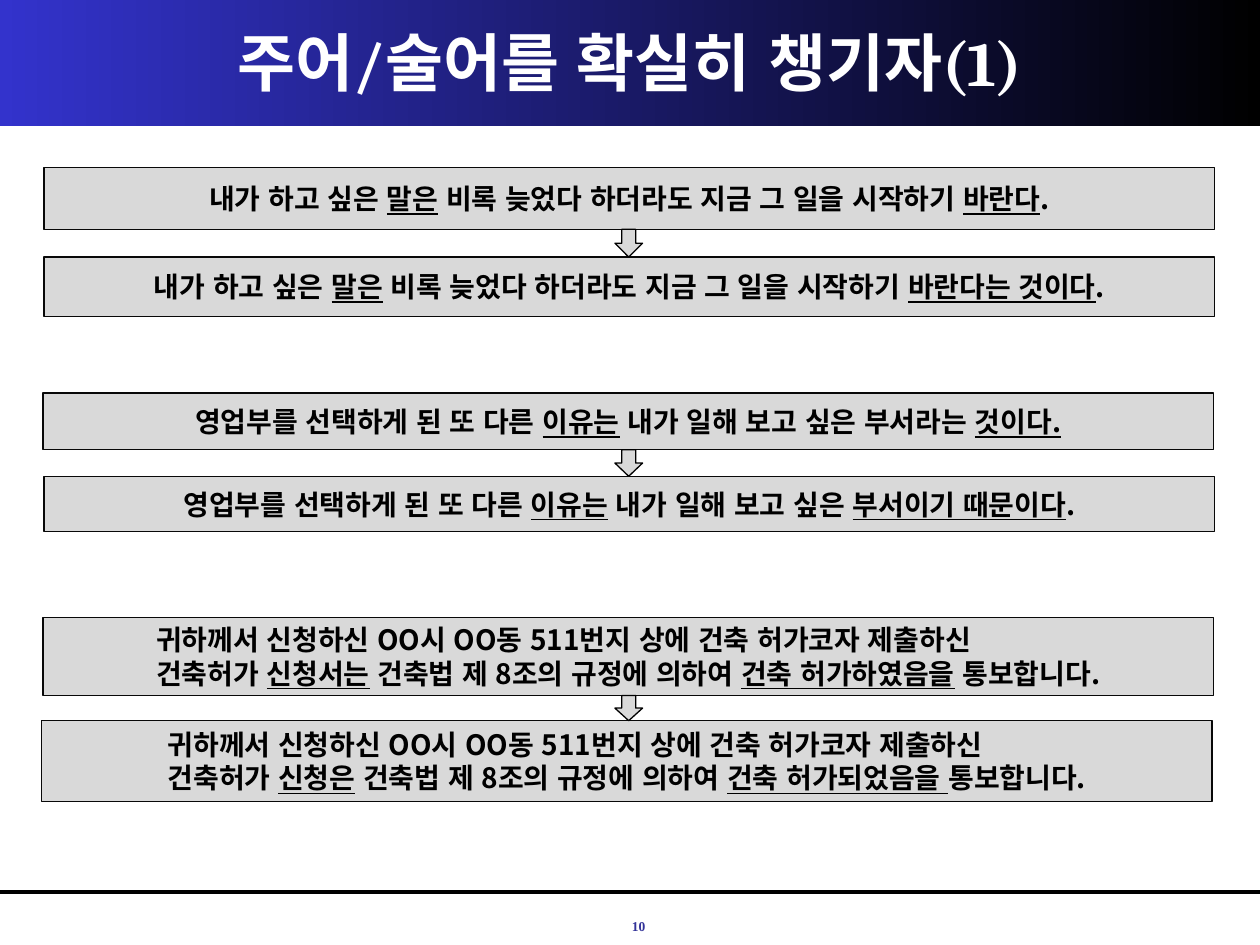
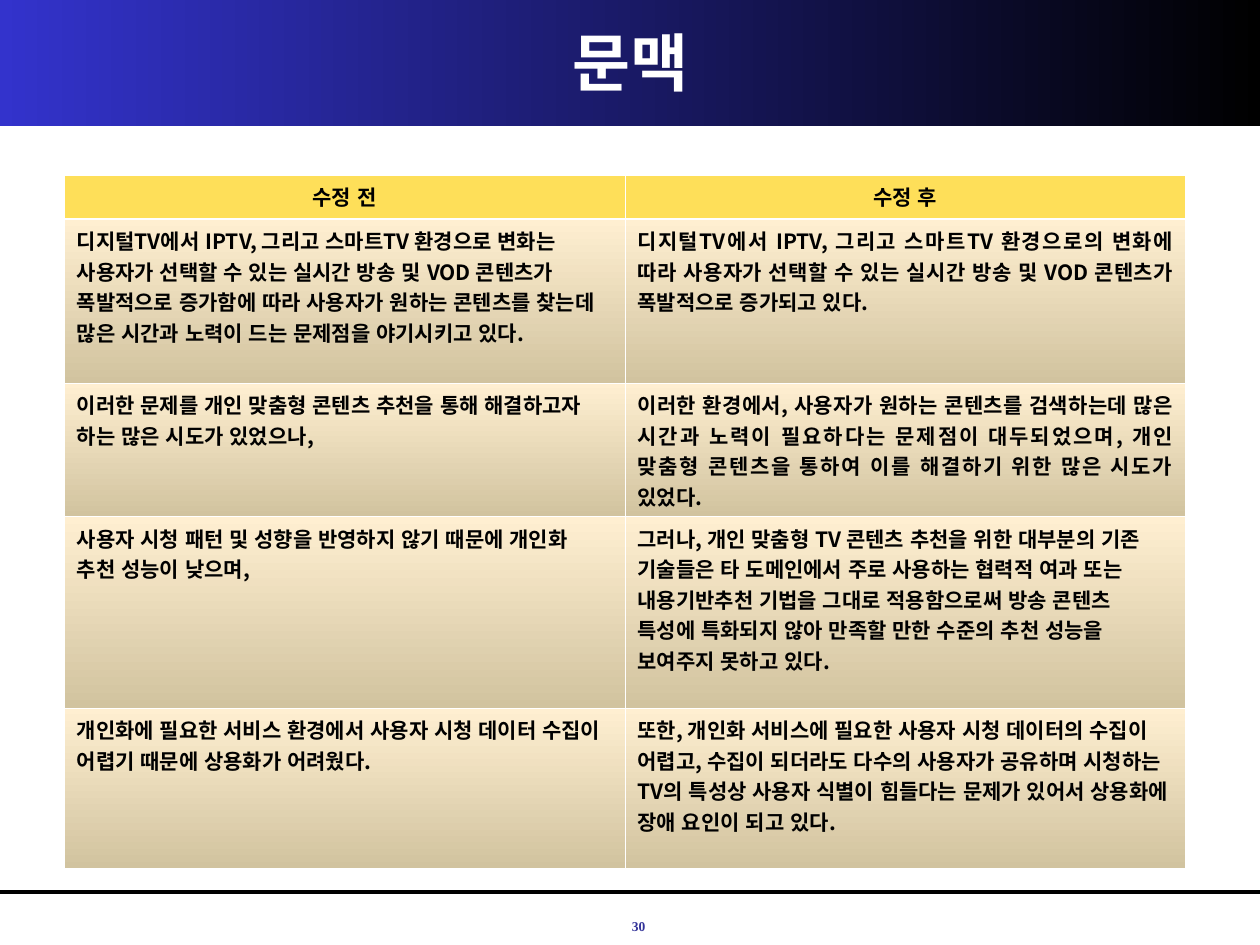
"""Build two Korean writing-guide slides: sentence corrections and a before/after table."""
from lxml.etree import SubElement
from pptx import Presentation
from pptx.dml.color import RGBColor
from pptx.enum.lang import MSO_LANGUAGE_ID
from pptx.enum.shapes import MSO_CONNECTOR, MSO_SHAPE
from pptx.enum.text import MSO_ANCHOR, MSO_AUTO_SIZE, PP_ALIGN
from pptx.oxml import parse_xml
from pptx.oxml.ns import nsdecls, qn
from pptx.util import Inches, Pt

WHITE = RGBColor(0xFF, 0xFF, 0xFF)
BLACK = RGBColor(0, 0, 0)
BAND_BLUE = RGBColor(0x33, 0x33, 0xCC)
PAGE_BLUE = RGBColor(0x33, 0x33, 0x99)
BOX_GRAY = RGBColor(0xD9, 0xD9, 0xD9)
BOX_EDGE = RGBColor(0x08, 0x08, 0x08)
HEADER_YELLOW = RGBColor(0xFE, 0xDF, 0x59)
CREAM = RGBColor(0xFF, 0xEF, 0xD1)
TAN = RGBColor(0xD1, 0xC3, 0x9F)

KOREAN = "Noto Sans CJK KR"
SERIF = "Cambria"
PAGE_FONT = "Times New Roman"

UNDERLINE_MARK = "_"
PERMIT_OPENING = "귀하께서 신청하신 OO시 OO동 511번지 상에 건축 허가코자 제출하신"
CORRECTIONS = [
    [
        (0.35, 1.33, 0.49, ["내가 하고 싶은 _말은_ 비록 늦었다 하더라도 지금 그 일을 시작하기 _바란다_."]),
        (0.35, 2.04, 0.47, ["내가 하고 싶은 _말은_ 비록 늦었다 하더라도 지금 그 일을 시작하기 _바란다는 것이다_."]),
    ],
    [
        (0.34, 3.12, 0.45, ["영업부를 선택하게 된 또 다른 _이유는_ 내가 일해 보고 싶은 부서라는 _것이다._"]),
        (0.35, 3.78, 0.44, ["영업부를 선택하게 된 또 다른 _이유는_ 내가 일해 보고 싶은 _부서이기 때문이다_."]),
    ],
    [
        (0.34, 4.9, 0.62, [PERMIT_OPENING,
                           "건축허가 _신청서는_ 건축법 제 8조의 규정에 의하여 _건축 허가하였음을_ 통보합니다."]),
        (0.33, 5.72, 0.64, [PERMIT_OPENING,
                            "건축허가 _신청은_ 건축법 제 8조의 규정에 의하여 _건축 허가되었음을 _통보합니다."]),
    ],
]
BOX_WIDTH, ARROW_LEFT, ARROW_WIDTH = 9.29, 4.88, 0.22

LEFT, CENTER, JUSTIFY = PP_ALIGN.LEFT, PP_ALIGN.CENTER, PP_ALIGN.JUSTIFY
REVISIONS = [
    (0.35, CENTER, "수정 전", "수정 후"),
    (1.3, JUSTIFY,
     "디지털TV에서 IPTV, 그리고 스마트TV 환경으로 변화는 사용자가 선택할 수 있는 실시간 방송 및 VOD 콘텐츠가 "
     "폭발적으로 증가함에 따라 사용자가 원하는 콘텐츠를 찾는데 많은 시간과 노력이 드는 문제점을 야기시키고 있다.",
     "디지털TV에서 IPTV, 그리고 스마트TV 환경으로의 변화에 따라 사용자가 선택할 수 있는 실시간 방송 및 VOD 콘텐츠가 "
     "폭발적으로 증가되고 있다."),
    (1.06, JUSTIFY,
     "이러한 문제를 개인 맞춤형 콘텐츠 추천을 통해 해결하고자 하는 많은 시도가 있었으나,",
     "이러한 환경에서, 사용자가 원하는 콘텐츠를 검색하는데 많은 시간과 노력이 필요하다는 문제점이 대두되었으며, "
     "개인 맞춤형 콘텐츠을 통하여 이를 해결하기 위한 많은 시도가 있었다."),
    (1.52, LEFT,
     "사용자 시청 패턴 및 성향을 반영하지 않기 때문에 개인화 추천 성능이 낮으며,",
     "그러나, 개인 맞춤형 TV 콘텐츠 추천을 위한 대부분의 기존 기술들은 타 도메인에서 주로 사용하는 협력적 여과 또는 "
     "내용기반추천 기법을 그대로 적용함으로써 방송 콘텐츠 특성에 특화되지 않아 만족할 만한 수준의 추천 성능을 "
     "보여주지 못하고 있다."),
    (1.27, LEFT,
     "개인화에 필요한 서비스 환경에서 사용자 시청 데이터 수집이 어렵기 때문에 상용화가 어려웠다.",
     "또한, 개인화 서비스에 필요한 사용자 시청 데이터의 수집이 어렵고, 수집이 되더라도 다수의 사용자가 공유하며 "
     "시청하는 TV의 특성상 사용자 식별이 힘들다는 문제가 있어서 상용화에 장애 요인이 되고 있다."),
]
COLUMN_WIDTH = 4.45


def style_run(run, size, color=BLACK, latin=KOREAN):
    font = run.font
    font.size, font.bold, font.name = Pt(size), True, latin
    font.color.rgb = color
    font.language_id = MSO_LANGUAGE_ID.KOREAN
    SubElement(font._element, qn("a:ea")).set("typeface", KOREAN)


def fill_gradient(fill, start, end, angle):
    fill.gradient()
    fill.gradient_angle = angle
    for stop, color, position in zip(fill.gradient_stops, (start, end), (0, 1)):
        stop.color.rgb, stop.position = color, position


def add_gray_shape(slide, preset, left, top, width, height, edge):
    shape = slide.shapes.add_shape(preset, Inches(left), Inches(top), Inches(width), Inches(height))
    shape.shadow.inherit = False
    shape.fill.solid()
    shape.fill.fore_color.rgb = BOX_GRAY
    shape.line.color.rgb, shape.line.width = edge, Pt(0.75)
    return shape


def add_framed_slide(deck, heading, page, latin=KOREAN):
    slide = deck.slides.add_slide(deck.slide_layouts[5])
    title = slide.shapes.title
    band = slide.shapes.add_shape(MSO_SHAPE.RECTANGLE, 0, 0, deck.slide_width, Inches(1))
    band.shadow.inherit = False
    band.line.fill.background()
    fill_gradient(band.fill, BAND_BLUE, BLACK, 0)
    title._element.addprevious(band._element)

    title.left, title.top, title.width, title.height = map(Inches, (0.24, 0.08, 9.52, 0.75))
    frame = title.text_frame
    frame.text = heading
    frame.auto_size, frame.vertical_anchor = MSO_AUTO_SIZE.NONE, MSO_ANCHOR.BOTTOM
    frame.margin_top, frame.margin_bottom = 0, Inches(0.04)
    frame.paragraphs[0].alignment = CENTER
    style_run(frame.paragraphs[0].runs[0], 36, WHITE, latin)

    rule = slide.shapes.add_connector(
        MSO_CONNECTOR.STRAIGHT, 0, Inches(7.08), deck.slide_width, Inches(7.08))
    rule.line.color.rgb, rule.line.width = BLACK, Pt(2.25)
    SubElement(rule._element.spPr, qn("a:effectLst"))

    number = slide.shapes.add_textbox(*map(Inches, (4.76, 7.22, 0.46, 0.24))).text_frame
    number.text = page
    number.word_wrap, number.vertical_anchor = True, MSO_ANCHOR.BOTTOM
    number.paragraphs[0].alignment = PP_ALIGN.RIGHT
    number.paragraphs[0].line_spacing = 0.8
    style_run(number.paragraphs[0].runs[0], 7.7, PAGE_BLUE, PAGE_FONT)
    return slide


def add_sentence(slide, left, top, height, lines):
    box = add_gray_shape(slide, MSO_SHAPE.RECTANGLE, left, top, BOX_WIDTH, height, BOX_EDGE)
    frame = box.text_frame
    frame.word_wrap, frame.vertical_anchor = False, MSO_ANCHOR.MIDDLE
    frame._txBody.bodyPr.set("anchorCtr", "1")
    frame.text = "\n".join(lines)
    for paragraph, line in zip(frame.paragraphs, lines):
        paragraph.text = ""
        paragraph.alignment = LEFT
        for index, part in enumerate(line.split(UNDERLINE_MARK)):
            if part:
                run = paragraph.add_run()
                run.text = part
                style_run(run, 16)
                run.font.underline = index % 2 == 1


def add_corrections(slide):
    for before, after in CORRECTIONS:
        add_sentence(slide, *before)
        add_sentence(slide, *after)
        arrow_top = before[1] + before[2]
        add_gray_shape(slide, MSO_SHAPE.DOWN_ARROW, ARROW_LEFT, arrow_top,
                       ARROW_WIDTH, after[1] - arrow_top, BLACK)


def set_borders(cell, row_index):
    widths = {"L": 0.45, "R": 0.45,
              "T": 1.47 if row_index == 1 else 0.45,
              "B": 1.47 if row_index == 0 else 0.45}
    for place, (side, width) in enumerate(widths.items()):
        border = parse_xml(
            f'<a:ln{side} {nsdecls("a")} w="{Pt(width)}"><a:solidFill>'
            f'<a:srgbClr val="{WHITE}"/></a:solidFill></a:ln{side}>')
        cell._tc.get_or_add_tcPr().insert(place, border)


def add_revisions(slide):
    total = sum(row[0] for row in REVISIONS)
    table = slide.shapes.add_table(
        len(REVISIONS), 2, Inches(0.51), Inches(1.39), Inches(2 * COLUMN_WIDTH), Inches(total)).table
    table.horz_banding = False
    for row_index, (height, after_alignment, *texts) in enumerate(REVISIONS):
        table.rows[row_index].height = Inches(height)
        for column, text in enumerate(texts):
            cell = table.cell(row_index, column)
            cell.text = text
            paragraph = cell.text_frame.paragraphs[0]
            is_header = row_index == 0
            paragraph.alignment = after_alignment if column or is_header else LEFT
            style_run(paragraph.runs[0], 12)
            if is_header:
                cell.fill.solid()
                cell.fill.fore_color.rgb = HEADER_YELLOW
            else:
                fill_gradient(cell.fill, CREAM, TAN, 270)
            set_borders(cell, row_index)


def main():
    deck = Presentation()
    deck.slide_width, deck.slide_height = Inches(10), Inches(7.5)
    add_corrections(add_framed_slide(deck, "주어/술어를 확실히 챙기자(1)", "10", SERIF))
    add_revisions(add_framed_slide(deck, "문맥", "30"))
    deck.save("out.pptx")


if __name__ == "__main__":
    main()
